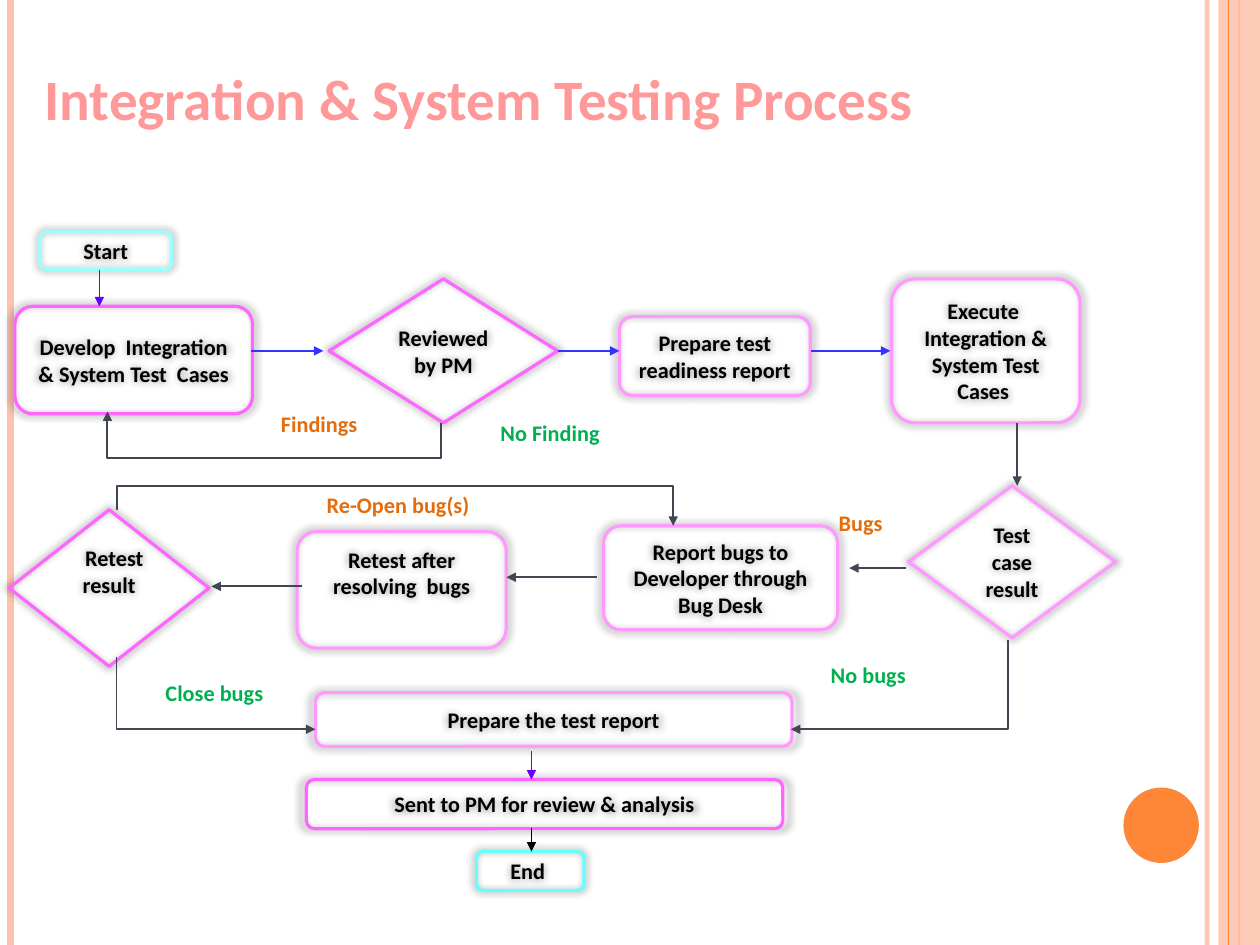
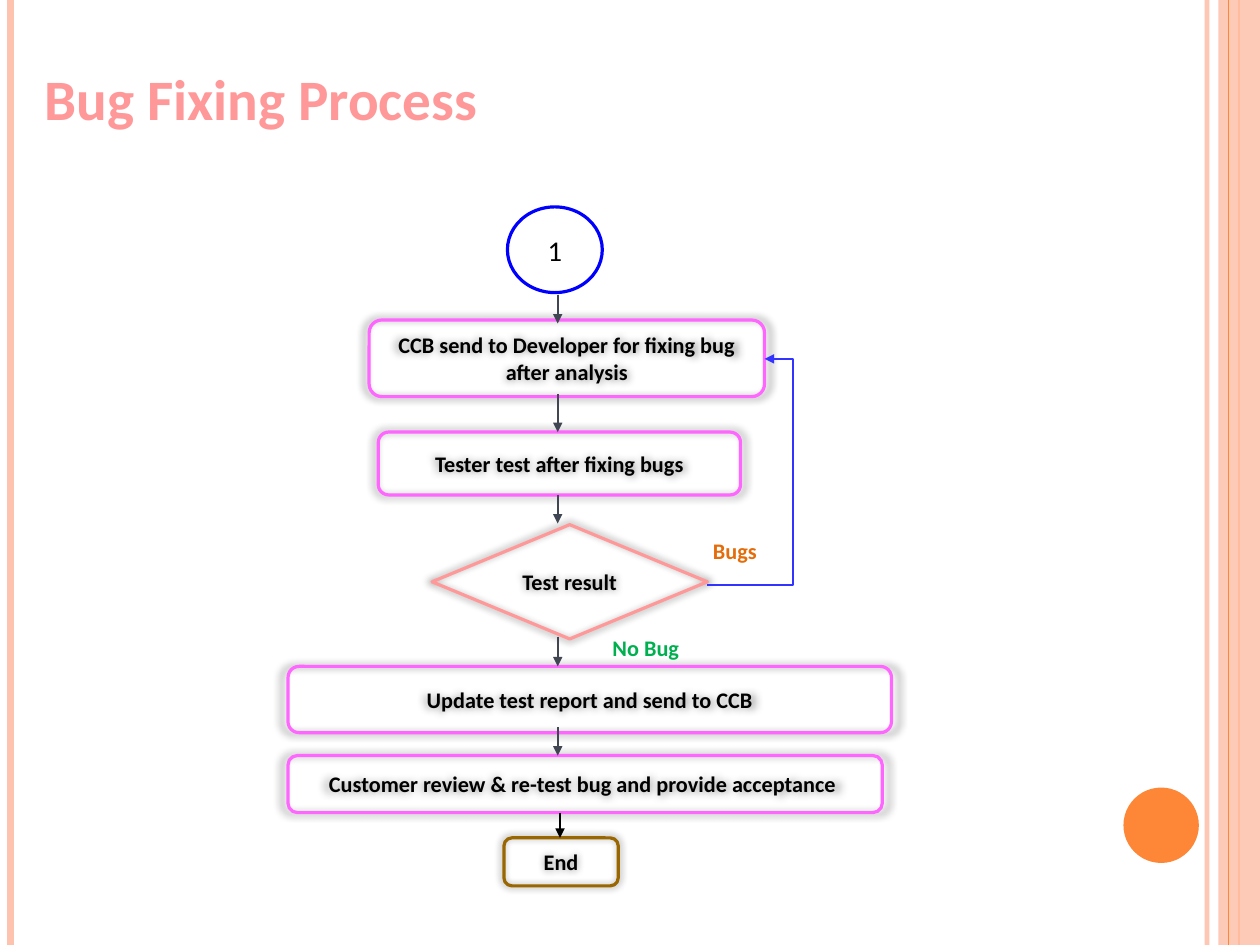
import pptx
import pptx.util
import pptx.dml.color
import pptx.enum.shapes
import pptx.enum.text
import pptx.oxml.ns
from lxml import etree

Inches = pptx.util.Inches
Pt = pptx.util.Pt
qn = pptx.oxml.ns.qn
KIND = pptx.enum.shapes.MSO_SHAPE
LINK = pptx.enum.shapes.MSO_CONNECTOR
ALIGN = pptx.enum.text.PP_ALIGN
ANCHOR = pptx.enum.text.MSO_ANCHOR

WIDE, HIGH = Pt(793.75), Pt(595.25)
FONT = "Calibri"
COLORS = {
    "paper": "FFFFFF", "peach": "FEC3AE", "orange": "FE8637", "title": "FF9999",
    "ink": "000000", "slate": "414752", "blue": "3333FF", "violet": "6600FF",
    "pink": "FF66FF", "rose": "FF99FF", "aqua": "99FFFF", "cyan": "66FFFF",
    "navy": "0000FF", "brown": "996600", "warn": "E46C0A", "good": "00B050",
}


def tint(name):
    return pptx.dml.color.RGBColor.from_string(COLORS[name])


def fade(part, percent):
    """Make the first colour found in an XML part partly transparent."""
    color = next(part.iter(qn("a:srgbClr")))
    etree.SubElement(color, qn("a:alpha"), val=str(percent * 1000))


def glow(shape):
    """Give a shape a soft dark shadow on all sides."""
    effects = shape._element.spPr.find(qn("a:effectLst"))
    outer = etree.SubElement(effects, qn("a:outerShdw"), blurRad=str(Pt(5)),
                             dist="0", dir="0", sx="102000", sy="102000",
                             algn="ctr", rotWithShape="0")
    etree.SubElement(outer, qn("a:srgbClr"), val=COLORS["ink"])
    fade(outer, 40)


def write(shape, text, size, color, bold=True, align=ALIGN.LEFT,
          anchor=ANCHOR.TOP, insets=(0.1, 0.05, 0.1, 0.05), indent=0):
    frame = shape.text_frame
    frame.word_wrap = True
    frame.vertical_anchor = anchor
    (frame.margin_left, frame.margin_top,
     frame.margin_right, frame.margin_bottom) = map(Inches, insets)
    line = frame.paragraphs[0]
    line.alignment = align
    if indent:
        line._p.get_or_add_pPr().set("indent", str(Inches(indent)))
    run = line.add_run()
    run.text = text
    run.font.name = FONT
    run.font.size = Pt(size)
    run.font.bold = bold
    run.font.color.rgb = tint(color)


def form(slide, kind, box, fill=None, edge=None):
    shape = slide.shapes.add_shape(kind, *map(Inches, box))
    shape.shadow.inherit = False
    if fill:
        shape.fill.solid()
        shape.fill.fore_color.rgb = tint(fill)
    else:
        shape.fill.background()
    if edge:
        shape.line.color.rgb = tint(edge)
        shape.line.width = Pt(2)
    else:
        shape.line.fill.background()
    return shape


def link(slide, kind, start, end, color, width, head=True):
    line = slide.shapes.add_connector(kind, *map(Inches, (*start, *end)))
    line.line.color.rgb = tint(color)
    line.line.width = Pt(width)
    etree.SubElement(line._element.spPr, qn("a:effectLst"))
    if head:
        etree.SubElement(line.line._get_or_add_ln(), qn("a:tailEnd"), type="triangle")
    return line


def frame(slide, title):
    """Draw the side bands, the disc and the title."""
    tall = HIGH.inches
    for x, color, width in ((10.56, "peach", 3), (0.09, "peach", 4.5),
                            (10.84, "orange", 1.5)):
        rule = link(slide, LINK.STRAIGHT, (x, 0), (x, tall), color, width, False)
        if width == 3:
            fade(rule._element.spPr, 93)
    band = form(slide, KIND.RECTANGLE, (10.66, 0, 0.37, tall), "peach")
    fade(band._element.spPr, 87)
    link(slide, LINK.STRAIGHT, (10.75, 0), (10.75, tall), "orange", 0.75, False)
    form(slide, KIND.OVAL, (9.83, 6.89, 0.66, 0.66), "orange")
    head = slide.shapes.add_textbox(*map(Inches, (0.39, 0.33, 10.24, 1.05)))
    write(head, title, 36, "title", anchor=ANCHOR.MIDDLE, insets=(0, 0, 0, 0))


class Flow:
    """A flow chart whose parts are placed from its top left corner."""

    def __init__(self, slide, left, top):
        self.slide, self.left, self.top = slide, left, top

    def spot(self, x, y):
        return self.left + x, self.top + y

    def node(self, text, box, edge, kind=KIND.ROUNDED_RECTANGLE, foot=0.05, indent=0):
        """Add a glowing step; foot is the inset below its text."""
        x, y, wide, high = box
        shape = form(self.slide, kind, (*self.spot(x, y), wide, high), edge=edge)
        glow(shape)
        write(shape, text, 14, "ink", align=ALIGN.CENTER, anchor=ANCHOR.MIDDLE,
              insets=(0.1, 0.05, 0.1, foot), indent=indent)

    def label(self, text, x, y, wide, color):
        box = (*self.spot(x, y), wide, 0.33)
        write(self.slide.shapes.add_textbox(*map(Inches, box)), text, 14, color)

    def arrow(self, start, end, color="slate", width=1.25):
        link(self.slide, LINK.STRAIGHT, self.spot(*start), self.spot(*end), color, width)

    def bend(self, start, end, color="slate", rail=None, upright=True):
        """Add an elbow arrow.

        It has one corner, or two on a rail: a y if it sets off upright, else an x.
        """
        (ax, ay), (bx, by) = start, end
        dx, dy = bx - ax, by - ay
        wide, high = (abs(dy), abs(dx)) if upright else (abs(dx), abs(dy))
        x, y = self.spot((ax + bx - wide) / 2, (ay + by - high) / 2)
        line = link(self.slide, LINK.ELBOW, (x, y), (x + wide, y + high), color, 1.25)
        place = line._element.spPr.find(qn("a:xfrm"))
        if upright:
            place.set("rot", str((270 if dx > 0 else 90) * 60000))
            flips = {"flipH": (dx > 0) == (dy > 0)}
        else:
            flips = {"flipH": dx < 0, "flipV": dy < 0}
        for name, on in flips.items():
            if on:
                place.set(name, "1")
        shape = line._element.spPr.find(qn("a:prstGeom"))
        if rail is None:
            shape.set("prst", "bentConnector2")
        else:
            ratio = (rail - ay) / dy if upright else (rail - ax) / dx
            guides = shape.find(qn("a:avLst"))
            if guides is None:
                guides = etree.SubElement(shape, qn("a:avLst"))
            etree.SubElement(guides, qn("a:gd"), name="adj1",
                             fmla=f"val {round(ratio * 100000)}")


def system(slide, left, top):
    """Draw the integration and system testing flow."""
    flow = Flow(slide, left, top)
    for step in (
        ("Start", (0.35, 0.03, 1.15, 0.33), "aqua"),
        ("Develop  Integration & System Test  Cases", (0.13, 0.68, 2.08, 0.94), "pink"),
        ("Reviewed by PM", (2.88, 0.44, 2, 1.26), "pink", KIND.DIAMOND),
        ("Prepare test readiness report", (5.42, 0.77, 1.67, 0.69), "rose"),
        ("Execute  Integration & System Test Cases ", (7.8, 0.44, 1.65, 1.26), "rose"),
        ("Test case result", (7.95, 2.25, 1.81, 1.33), "rose", KIND.DIAMOND),
        ("Report bugs to Developer through Bug Desk", (5.28, 2.6, 2.05, 0.91), "rose"),
        ("Retest after resolving  bugs", (2.6, 2.65, 1.83, 1.02), "rose",
         KIND.ROUNDED_RECTANGLE, 0.35),
        ("Retest result", (0.08, 2.46, 1.75, 1.37), "pink", KIND.DIAMOND, 0.35, 0.09),
        ("Prepare the test report", (2.76, 4.06, 4.17, 0.47), "rose"),
        ("Sent to PM for review & analysis", (2.68, 4.82, 4.17, 0.43), "pink"),
        ("End ", (4.17, 5.45, 0.94, 0.34), "cyan"),
    ):
        flow.node(*step)
    for path in (
        ((0.87, 0.36), (0.87, 0.68), "violet", 1),
        ((2.2, 1.07), (2.83, 1.07), "blue", 1),
        ((4.88, 1.07), (5.42, 1.07), "blue"),
        ((7.1, 1.07), (7.79, 1.07), "blue"),
        ((8.9, 1.7), (8.9, 2.25)),
        ((7.93, 2.97), (7.43, 2.97)),
        ((5.22, 3.05), (4.43, 3.05)),
        ((2.64, 3.13), (1.85, 3.13)),
        ((4.65, 4.57), (4.65, 4.82), "violet", 1),
        ((4.65, 5.24), (4.65, 5.45), "ink", 0.75),
    ):
        flow.arrow(*path)
    flow.bend((3.86, 1.7), (0.94, 1.6), rail=2.01)
    flow.bend((1.02, 2.46), (5.89, 2.6), rail=2.25)
    flow.bend((1.02, 3.75), (2.76, 4.38))
    flow.bend((8.82, 3.6), (6.92, 4.38))
    for note in (
        ("Findings", 2.36, 1.54, 1.34, "warn"),
        ("No Finding", 4.28, 1.62, 1.39, "good"),
        ("Bugs", 7.24, 2.41, 0.74, "warn"),
        ("Re-Open bug(s)", 2.76, 2.25, 1.92, "warn"),
        ("Close bugs", 1.35, 3.89, 1.17, "good"),
        ("No bugs", 7.17, 3.74, 1.17, "good"),
    ):
        flow.label(*note)


def fixing(slide, left, top):
    """Draw the bug fixing flow."""
    flow = Flow(slide, left, top)
    entry = form(slide, KIND.OVAL, (*flow.spot(1.94, 0.01), 0.83, 0.75), edge="navy")
    write(entry, "1", 18, "ink", False, ALIGN.CENTER, ANCHOR.MIDDLE)
    for step in (
        ("CCB send to Developer for fixing bug after analysis",
         (0.73, 1, 3.46, 0.67), "pink"),
        ("Tester test after fixing bugs", (0.81, 1.98, 3.17, 0.55), "pink"),
        ("Test result", (1.28, 2.79, 2.41, 1), "title", KIND.DIAMOND),
        ("Update test report and send to CCB", (0.02, 4.03, 5.28, 0.58), "pink"),
        ("Customer review & re-test bug and provide acceptance ",
         (0.02, 4.81, 5.2, 0.5), "pink"),
        ("End", (1.91, 5.53, 1, 0.42), "brown"),
    ):
        flow.node(*step)
    for start, end in ((0.78, 1.03), (1.65, 1.98), (2.53, 2.78), (3.77, 4.03),
                       (4.56, 4.81)):
        flow.arrow((2.38, start), (2.38, end))
    flow.arrow((2.4, 5.31), (2.4, 5.53), "ink", 0.75)
    flow.bend((3.69, 3.32), (4.19, 1.34), "blue", rail=4.44, upright=False)
    flow.label("Bugs", 3.64, 2.85, 0.74, "warn")
    flow.label("No Bug", 2.76, 3.7, 0.99, "good")


def main():
    deck = pptx.Presentation()
    deck.slide_width, deck.slide_height = WIDE, HIGH
    for title, draw, left, top in (
        ("Integration & System Testing Process", system, 0, 2),
        ("Bug Fixing Process", fixing, 2.5, 1.8),
    ):
        slide = deck.slides.add_slide(deck.slide_layouts[6])
        slide.background.fill.solid()
        slide.background.fill.fore_color.rgb = tint("paper")
        frame(slide, title)
        draw(slide, left, top)
    deck.save("out.pptx")


if __name__ == "__main__":
    main()
